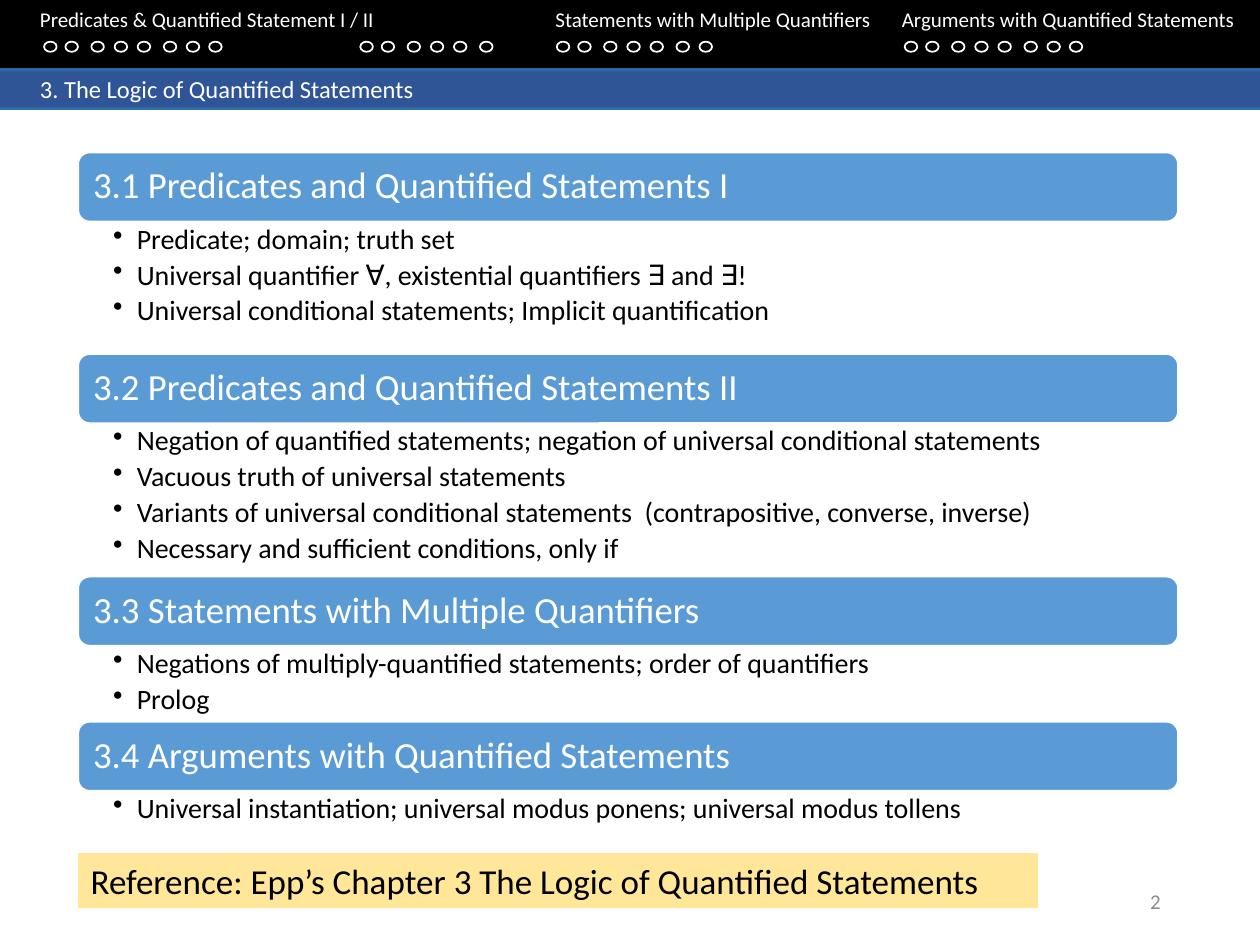
from lxml.etree import SubElement
from pptx import Presentation
from pptx.dml.color import RGBColor
from pptx.enum.shapes import MSO_SHAPE
from pptx.enum.text import MSO_ANCHOR, PP_ALIGN
from pptx.oxml.ns import qn
from pptx.util import Pt

COLORS = {"black": "000000", "white": "FFFFFF", "blue": "5B9BD5",
          "edge": "2E75B6", "navy": "2F5597", "cream": "FFE699", "gray": "8C8C8C"}

TOPICS = [
    ("3.1 Predicates and Quantified Statements I", 75.7,
     ["Predicate; domain; truth set",
      "Universal quantifier ∀, existential quantifiers ∃ and ∃!",
      "Universal conditional statements; Implicit quantification"]),
    ("3.2 Predicates and Quantified Statements II", 87.7,
     ["Negation of quantified statements; negation of universal conditional statements",
      "Vacuous truth of universal statements",
      "Variants of universal conditional statements\u00a0 (contrapositive, converse, inverse)",
      "Necessary and sufficient conditions, only if"]),
    ("3.3 Statements with Multiple Quantifiers", 43.4,
     ["Negations of multiply-quantified statements; order of quantifiers",
      "Prolog"]),
    ("3.4 Arguments with Quantified Statements", 27,
     ["Universal instantiation; universal modus ponens; universal modus tollens"]),
]
HEAD = 39.5

# Left edge and number of progress dots for each part of the chapter
DOTS = [(25.2, 8), (205.9, 6), (318.2, 7), (517, 8)]
STEPS = [0, 12.2, 27, 40.3, 53.5, 68.4, 81.5, 94.3]


def color(key):
    return RGBColor.from_string(COLORS[key])


def add_box(shapes, kind, box, fill=None, line=None):
    shape = shapes.add_shape(kind, *map(Pt, box))
    shape.shadow.inherit = False
    if fill:
        shape.fill.solid()
        shape.fill.fore_color.rgb = color(fill)
    else:
        shape.fill.background()
    if line:
        shape.line.color.rgb = color(line)
        shape.line.width = Pt(1)
    else:
        shape.line.fill.background()
    return shape


def set_frame(frame, text, anchor=MSO_ANCHOR.TOP, insets=(7.2, 3.6, 7.2, 3.6)):
    frame.word_wrap = True
    frame.vertical_anchor = anchor
    frame.margin_left, frame.margin_top, frame.margin_right, frame.margin_bottom = map(Pt, insets)
    frame.text = text
    return frame.paragraphs


def style(para, size, key, align=PP_ALIGN.LEFT):
    para.alignment = align
    for run in para.runs:
        run.font.name = "Calibri"
        run.font.size = Pt(size)
        run.font.color.rgb = color(key)


def add_tabs(para, stops):
    tabs = SubElement(para._p.get_or_add_pPr(), qn("a:tabLst"))
    for stop in stops:
        SubElement(tabs, qn("a:tab"), pos=str(Pt(stop)), algn="l")


def add_bullet(para):
    props = para._p.get_or_add_pPr()
    props.set("marL", str(Pt(13.5)))
    props.set("indent", str(-Pt(13.5)))
    SubElement(props, qn("a:buChar"), char="•")


def shade(shape):
    """Fill with a vertical gradient that has thin lighter edges."""
    shape.fill.gradient()
    shape.fill.gradient_angle = 270
    stops = shape._element.spPr.find(qn("a:gradFill")).find(qn("a:gsLst"))
    for stop in list(stops):
        stops.remove(stop)
    for pos, key in [(0, "edge"), (11, "navy"), (91, "navy"), (100, "edge")]:
        stop = SubElement(stops, qn("a:gs"), pos=str(pos * 1000))
        SubElement(stop, qn("a:srgbClr"), val=COLORS[key])


def title_band(slide, left, top, width, height):
    band = add_box(slide.shapes, MSO_SHAPE.RECTANGLE, (left, top, width, height), "navy")
    shade(band)
    para = set_frame(band.text_frame, "\t3. The Logic of Quantified Statements")[0]
    add_tabs(para, [15.8])
    style(para, 14, "white")


def nav_bar(slide, left, top, width, height):
    add_box(slide.shapes, MSO_SHAPE.RECTANGLE, (left, top, width, height), "black")
    label = slide.shapes.add_textbox(Pt(left), Pt(top + 1.4), Pt(width), Pt(36))
    para = set_frame(label.text_frame,
                     "\tPredicates & Quantified Statement I / II"
                     "\tStatements with Multiple Quantifiers"
                     "\tArguments with Quantified Statements")[0]
    add_tabs(para, [15.8, 198, 310.3, 508.3, 678.2])
    style(para, 12, "white")
    for start, count in DOTS:
        group = slide.shapes.add_group_shape()
        for step in STEPS[:count]:
            add_box(group.shapes, MSO_SHAPE.OVAL,
                    (left + start + step, top + 25.2, 7.2, 5.8), line="white")


def topic(slide, left, top, width, height, head, points):
    bar = add_box(slide.shapes, MSO_SHAPE.ROUNDED_RECTANGLE,
                  (left, top, width, HEAD), "blue", "white")
    para = set_frame(bar.text_frame, head, MSO_ANCHOR.MIDDLE, (6.6, 4.5, 6.6, 4.5))[0]
    para.line_spacing = 0.9
    style(para, 21, "white")
    body = slide.shapes.add_textbox(Pt(left), Pt(top + HEAD), Pt(width), Pt(height - HEAD))
    for para in set_frame(body.text_frame, "\n".join(points), insets=(20, 2, 11.2, 2)):
        add_bullet(para)
        para.level = 1
        para.line_spacing = 0.9
        para.space_after = Pt(3.2)
        style(para, 16, "black")


def topics(slide, left, top, width):
    for head, depth, points in TOPICS:
        height = HEAD + depth
        topic(slide, left, top, width, height, head, points)
        top += height


def reference(slide, left, top, width, height):
    note = add_box(slide.shapes, MSO_SHAPE.RECTANGLE, (left, top, width, height), "cream")
    para = set_frame(note.text_frame,
                     "Reference: Epp’s Chapter 3 The Logic of Quantified Statements")[0]
    style(para, 20, "black")


def page_number(slide, left, top, width, height):
    box = slide.shapes.add_textbox(Pt(left), Pt(top), Pt(width), Pt(height))
    para = set_frame(box.text_frame, "2", MSO_ANCHOR.MIDDLE)[0]
    style(para, 12, "gray", PP_ALIGN.RIGHT)


def main():
    deck = Presentation()
    deck.slide_width, deck.slide_height = Pt(720), Pt(540)
    slide = deck.slides.add_slide(deck.slide_layouts[6])
    page_number(slide, 508.3, 500.4, 162, 28.8)
    title_band(slide, 0, 38.9, 720, 23.8)
    topics(slide, 44.7, 87.1, 628.5)
    nav_bar(slide, 0, -1.4, 720, 40.3)
    reference(slide, 44.7, 487.5, 548.5, 31.5)
    deck.save("out.pptx")


if __name__ == "__main__":
    main()
